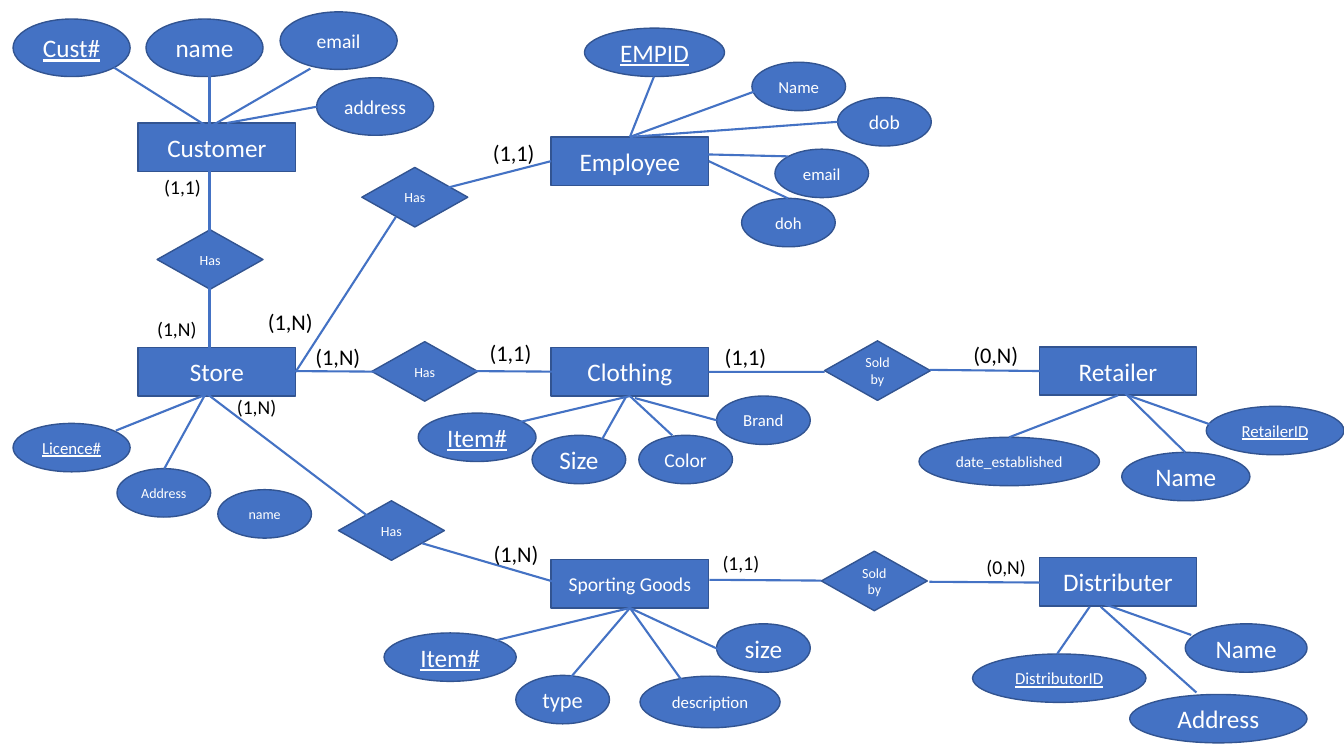
from lxml import etree
from pptx import Presentation
from pptx.dml.color import RGBColor
from pptx.enum.shapes import MSO_CONNECTOR, MSO_SHAPE
from pptx.enum.text import MSO_ANCHOR, PP_ALIGN
from pptx.oxml.ns import qn
from pptx.util import Cm, Pt

RECT, OVAL, DIAMOND = MSO_SHAPE.RECTANGLE, MSO_SHAPE.OVAL, MSO_SHAPE.DIAMOND
STRAIGHT = MSO_CONNECTOR.STRAIGHT
MIDDLE, CENTER = MSO_ANCHOR.MIDDLE, PP_ALIGN.CENTER
TOP, LEFT, BOTTOM, RIGHT = range(4)


def color(code):
    return RGBColor.from_string(code)


class Board:
    font = "Calibri"
    blue, edge, white, black = "4472C4", "325491", "FFFFFF", "000000"

    def __init__(self, slide):
        self.shapes = slide.shapes

    def letter(self, frame, text, size, tint):
        frame.word_wrap = True
        para = frame.paragraphs[0]
        para.text = text
        para.font.name = self.font
        para.font.size = Pt(size)
        para.font.color.rgb = color(tint)
        return para

    def node(self, kind, text, size, x, y, w, h, key=False):
        shape = self.shapes.add_shape(kind, Cm(x), Cm(y), Cm(w), Cm(h))
        shape.shadow.inherit = False
        shape.fill.solid()
        shape.fill.fore_color.rgb = color(self.blue)
        shape.line.color.rgb = color(self.edge)
        shape.line.width = Pt(1)
        shape.text_frame.vertical_anchor = MIDDLE
        para = self.letter(shape.text_frame, text, size, self.white)
        para.alignment = CENTER
        if key:
            para.font.underline = True
        return shape

    def entity(self, text, x, y, size=18):
        return self.node(RECT, text, size, x, y, 3.97, 1.22)

    def field(self, text, size, x, y, w=2.36, h=1.22, key=False):
        return self.node(OVAL, text, size, x, y, w, h, key)

    def bond(self, text, x, y):
        return self.node(DIAMOND, text, 10, x, y, 2.67, 1.5)

    def label(self, text, size, x, y, w=1.85):
        high = 0.86 if size == 14 else 0.94
        box = self.shapes.add_textbox(Cm(x), Cm(y), Cm(w), Cm(high))
        self.letter(box.text_frame, text, size, self.black)

    def line(self, x1, y1, x2, y2):
        link = self.shapes.add_connector(STRAIGHT, Cm(x1), Cm(y1), Cm(x2), Cm(y2))
        link.line.color.rgb = color(self.blue)
        link.line.width = Pt(1.5)
        etree.SubElement(link._element.spPr, qn("a:effectLst"))
        return link

    def join(self, shape, side, points):
        for x, y in points:
            self.line(x, y, x, y).end_connect(shape, side)


ENTITIES = [
    ("Customer", 3.48, 3.1), ("Store", 3.48, 8.76),
    ("Sporting Goods", 13.89, 14.1, 14), ("Clothing", 13.89, 8.76),
    ("Employee", 13.89, 3.45), ("Distributer", 26.19, 14.05),
    ("Retailer", 26.19, 8.74),
]
KEYS = [
    ("Cust#", 18, 0.33, 0.48, 2.95, 1.45), ("Licence#", 12, 0.33, 10.67, 2.95),
    ("Item#", 18, 9.68, 15.95, 3.33), ("Item#", 18, 10.54, 10.41, 2.97),
    ("DistributorID", 12, 24.51, 16.48, 4.37),
    ("RetailerID", 12, 30.4, 10.24, 3.47), ("EMPID", 18, 14.73, 0.71, 3.53),
]
FIELDS = [
    ("name", 18, 3.68, 0.48, 2.95, 1.45), ("email", 14, 7.06, 0.3, 2.95, 1.45),
    ("address", 14, 7.98, 1.96, 2.95, 1.45),
    ("Address", 10, 2.95, 11.81), ("name", 10, 5.49, 12.34),
    ("type", 16, 13, 17.02), ("description", 12, 16.13, 17.04, 3.53, 1.3),
    ("size", 18, 18.06, 15.72),
    ("Name", 18, 29.87, 15.72, 3.07), ("Address", 18, 28.47, 17.5, 4.47),
    ("Size", 18, 13.41, 10.97), ("Color", 14, 16.1, 10.97),
    ("Brand", 12, 18.06, 9.98),
    ("Name", 18, 28.27, 11.4, 3.23), ("date_established", 11, 23.16, 11.02, 4.55),
    ("Name", 12, 18.95, 1.57), ("dob", 14, 21.11, 2.46),
    ("email", 12, 19.53, 3.76), ("doh", 12, 18.69, 5),
]
BONDS = [
    ("Has", 3.96, 5.79), ("Has", 8.53, 12.62), ("Has", 9.37, 8.61),
    ("Has", 9.12, 4.22), ("Sold by", 20.78, 8.59), ("Sold by", 20.7, 13.89),
]
LINES = [
    (5.56, 3.4, 2.87, 1.7), (5.28, 3.51, 5.28, 1.57), (7.82, 1.73, 5.11, 3.3),
    (7.98, 2.69, 5.72, 3.1), (5.28, 5.99, 5.28, 4.04), (5.28, 8.99, 5.28, 7.04),
    (4.14, 11.81, 5.16, 9.96), (2.92, 10.85, 5.97, 9.63),
    (9.37, 13.08, 4.83, 9.63), (14.2, 14.73, 10.64, 13.69),
    (20.7, 14.63, 17.88, 14.61), (26.26, 14.68, 23.42, 14.66),
    (30.02, 16, 27.74, 15.19), (26.64, 16.48, 27.46, 15.29),
    (30.15, 17.45, 27.74, 15.29), (30.71, 10.77, 28.42, 9.96),
    (29.87, 11.4, 27.97, 9.53), (26.26, 9.35, 23.44, 9.32),
    (15.11, 11.18, 15.77, 10.01), (18.06, 10.59, 16, 10.03),
    (14.6, 9.37, 11.79, 9.35), (10.16, 9.37, 7.32, 9.35),
    (19.86, 3.94, 17.78, 3.89),
]
JOINS = [
    ("Employee", TOP, [(16.48, 1.93), (19.41, 2.16), (21.11, 3.07)]),
    ("Employee", LEFT, [(10.69, 4.88)]),
    ("Employee", RIGHT, [(19.86, 5)]),
    ("Store", RIGHT, [(9.98, 5.46)]),
    ("Clothing", BOTTOM, [(16.94, 10.97), (12.95, 10.67)]),
    ("Clothing", RIGHT, [(20.78, 9.37)]),
    ("Sporting Goods", BOTTOM,
     [(12.52, 16.13), (14.27, 17.2), (17.4, 17.45), (18.49, 16.54)]),
    ("Retailer", BOTTOM, [(25.43, 11.02)]),
]
LABELS = [
    ("(1,1)", 14, 3.89, 4.29), ("(1,N)", 14, 3.71, 7.87, 2.69),
    ("(1,N)", 14, 5.72, 9.83, 2.11), ("(1,1)", 14, 17.96, 13.77),
    ("(0,N)", 14, 24.61, 13.87), ("(1,N)", 16, 7.7, 8.53),
    ("(1,N)", 16, 6.5, 7.65, 2.06), ("(1,1)", 16, 12.09, 8.43),
    ("(1,1)", 16, 18.01, 8.51), ("(0,N)", 16, 24.28, 8.46),
    ("(1,1)", 16, 12.17, 3.38), ("(1,N)", 16, 12.19, 13.49),
]


def main():
    deck = Presentation()
    deck.slide_width, deck.slide_height = Cm(33.87), Cm(19.05)
    board = Board(deck.slides.add_slide(deck.slide_layouts[6]))
    boxes = {row[0]: board.entity(*row) for row in ENTITIES}
    for row in KEYS:
        board.field(*row, key=True)
    for row in FIELDS:
        board.field(*row)
    for row in BONDS:
        board.bond(*row)
    for row in LINES:
        board.line(*row)
    for name, side, points in JOINS:
        board.join(boxes[name], side, points)
    for row in LABELS:
        board.label(*row)
    deck.save("out.pptx")


if __name__ == "__main__":
    main()
